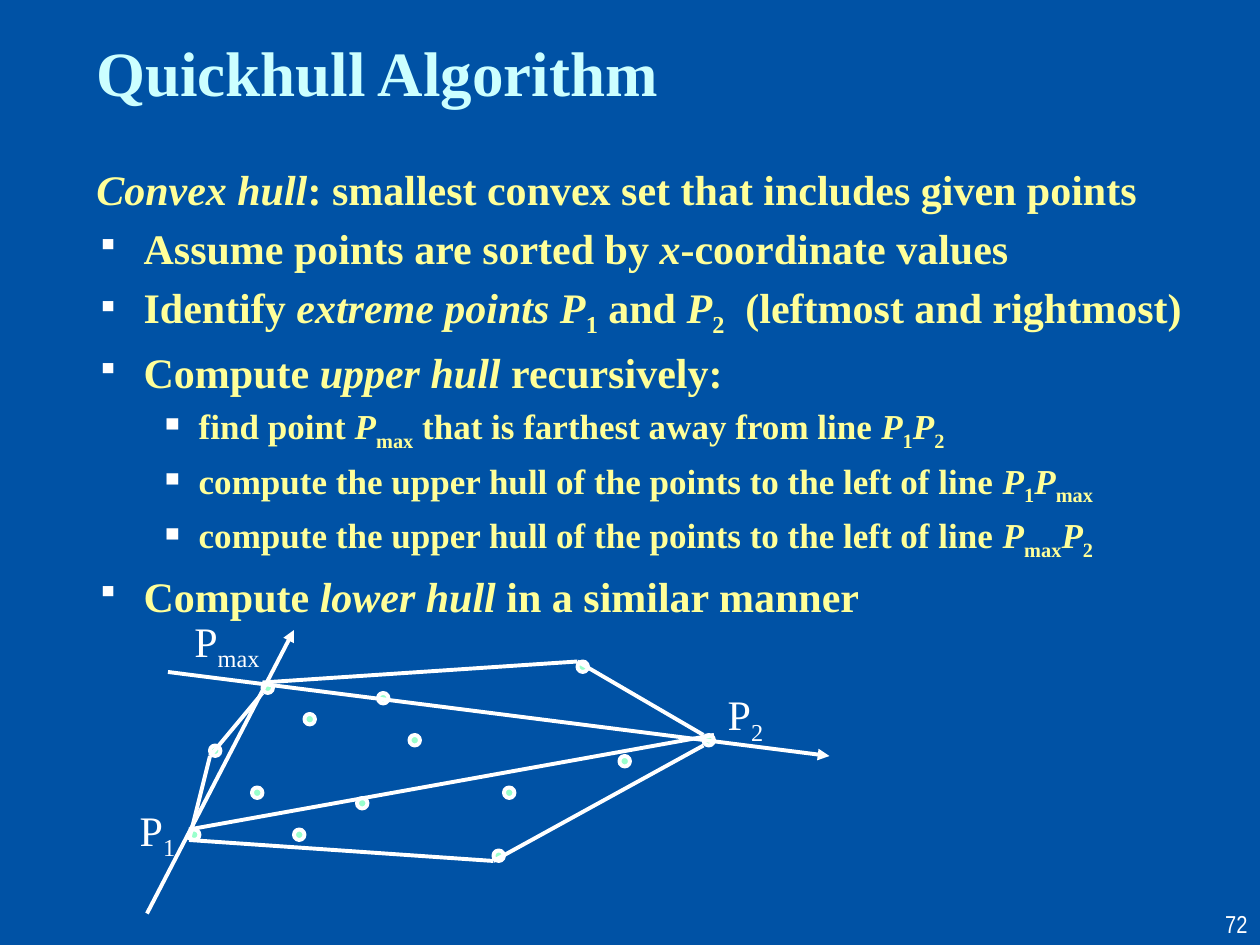
from lxml import etree
from pptx import Presentation
from pptx.dml.color import RGBColor
from pptx.enum.shapes import MSO_CONNECTOR, MSO_SHAPE
from pptx.enum.text import MSO_ANCHOR, MSO_AUTO_SIZE, PP_ALIGN
from pptx.oxml.ns import qn
from pptx.util import Emu, Pt

STRAIGHT = MSO_CONNECTOR.STRAIGHT
OVAL = MSO_SHAPE.OVAL
BOTTOM = MSO_ANCHOR.BOTTOM
GROW = MSO_AUTO_SIZE.SHAPE_TO_FIT_TEXT
CENTER, RIGHT = PP_ALIGN.CENTER, PP_ALIGN.RIGHT

EMU_PER_PX = 9525
SERIF, NARROW = "Times New Roman", "Arial Narrow"
WHITE, YELLOW, CYAN, MINT, BLUE = "FFFFFF", "FFFF99", "CCFFFF", "99FFCC", "0052A5"
LINE_WIDTH = Pt(2.25)
DOT = 8

P1 = [("P", "i"), ("1", "sub")]
P2 = [("P", "i"), ("2", "sub")]
P_MAX = [("P", "i"), ("max", "sub")]
LEFT_OF_LINE = ("compute the upper hull of the points to the left of line ", "")

OUTLINE = [
    ("intro", [("Convex hull", "i"),
               (": smallest convex set that includes given points", "")]),
    ("step", [("Assume points are sorted by ", ""), ("x", "i"),
              ("-coordinate values", "")]),
    ("step", [("Identify ", ""), ("extreme points ", "i"), *P1, (" and ", ""), *P2,
              ("  (leftmost and rightmost)", "")]),
    ("step", [("Compute ", ""), ("upper hull", "i"), (" recursively:", "")]),
    ("substep", [("find point ", ""), *P_MAX,
                 (" that is farthest away from line ", ""), *P1, *P2]),
    ("substep", [LEFT_OF_LINE, *P1, *P_MAX]),
    ("substep", [LEFT_OF_LINE, *P_MAX, *P2]),
    ("step", [("Compute ", ""), ("lower hull", "i"), (" in a similar manner", "")]),
]

POINTS = [(376, 648), (536, 560), (144, 632), (160, 568), (472, 576), (192, 600),
          (200, 520), (224, 632), (232, 544), (312, 560), (272, 608), (288, 528),
          (384, 600), (440, 504)]
EDGES = [((144, 640), (376, 656)), ((376, 656), (536, 568)),
         ((536, 560), (440, 504)), ((440, 504), (200, 520)),
         ((200, 528), (160, 576)), ((144, 640), (160, 576)),
         ((144, 632), (544, 560))]
ARROWS = [((224, 480), (112, 696)), ((632, 576), (128, 512))]
LABELS = [("1", 96, 608, 48), ("2", 544, 520, 48), ("max", 136, 464, 74)]


def px(length):
    return Emu(length * EMU_PER_PX)


def color(value):
    return RGBColor.from_string(value)


def add_text_frame(slide, left, top, width, height, wrap=True):
    frame = slide.shapes.add_textbox(px(left), px(top), px(width), px(height)).text_frame
    frame.word_wrap = wrap
    return frame


def style_paragraph(paragraph, size, face, hue, bold=False):
    font = paragraph.font
    font.size, font.name, font.bold = Pt(size), face, bold
    font.color.rgb = color(hue)


def add_runs(paragraph, pieces):
    for text, style in pieces:
        run = paragraph.add_run()
        run.text = text
        if style == "i":
            run.font.italic = True
        elif style == "sub":
            run._r.get_or_add_rPr().set("baseline", "-25000")


def set_indent(paragraph, margin, hanging):
    properties = paragraph._p.get_or_add_pPr()
    properties.set("marL", str(px(margin)))
    properties.set("indent", str(-px(hanging)))


def set_space_before(paragraph, percent):
    spacing = etree.SubElement(paragraph._p.get_or_add_pPr(), qn("a:spcBef"))
    etree.SubElement(spacing, qn("a:spcPct"), val=str(percent * 1000))


def set_bullet(paragraph, percent):
    properties = paragraph._p.get_or_add_pPr()
    hue = etree.SubElement(properties, qn("a:buClr"))
    etree.SubElement(hue, qn("a:srgbClr"), val=WHITE)
    etree.SubElement(properties, qn("a:buSzPct"), val=str(percent * 1000))
    etree.SubElement(properties, qn("a:buChar"), char="▪")


def add_title(slide):
    frame = add_text_frame(slide, 64, 16, 797, 72)
    frame.vertical_anchor = BOTTOM
    heading = frame.paragraphs[0]
    add_runs(heading, [("Quickhull Algorithm", "")])
    style_paragraph(heading, 36, SERIF, CYAN, bold=True)


def add_outline(slide):
    frame = add_text_frame(slide, 64, 120, 872, 523)
    for index, (role, pieces) in enumerate(OUTLINE):
        paragraph = frame.add_paragraph() if index else frame.paragraphs[0]
        substep = role == "substep"
        paragraph.level = int(substep)
        set_indent(paragraph, *((78, 30) if substep else (36, 36)))
        if index:
            set_space_before(paragraph, 20)
        if role != "intro":
            set_bullet(paragraph, 100 if substep else 75)
        add_runs(paragraph, pieces)
        style_paragraph(paragraph, 20 if substep else 24, SERIF, YELLOW, bold=True)


def add_point(slide, left, top):
    point = slide.shapes.add_shape(OVAL, px(left), px(top), px(DOT), px(DOT))
    point.shadow.inherit = False
    point.fill.solid()
    point.fill.fore_color.rgb = color(MINT)
    point.line.color.rgb = color(WHITE)
    point.line.width = LINE_WIDTH


def add_line(slide, start, end, arrow=False):
    line = slide.shapes.add_connector(STRAIGHT, *map(px, start + end))
    line.line.color.rgb = color(WHITE)
    line.line.width = LINE_WIDTH
    if arrow:
        etree.SubElement(line.line._get_or_add_ln(), qn("a:headEnd"), type="triangle")
    etree.SubElement(line._element.spPr, qn("a:effectLst"))


def add_label(slide, subscript, left, top, width):
    frame = add_text_frame(slide, left, top, width, 48, wrap=False)
    frame.auto_size = GROW
    label = frame.paragraphs[0]
    label.alignment = CENTER
    add_runs(label, [("P", ""), (subscript, "sub")])
    style_paragraph(label, 24, SERIF, WHITE)


def add_page_number(slide):
    number = add_text_frame(slide, 760, 688, 200, 32).paragraphs[0]
    number.alignment = RIGHT
    add_runs(number, [("72", "")])
    style_paragraph(number, 14, NARROW, WHITE)


def main():
    deck = Presentation()
    deck.slide_width, deck.slide_height = px(960), px(720)
    slide = deck.slides.add_slide(deck.slide_layouts[6])
    slide.background.fill.solid()
    slide.background.fill.fore_color.rgb = color(BLUE)
    add_page_number(slide)
    add_title(slide)
    add_outline(slide)
    for point in POINTS:
        add_point(slide, *point)
    for edge in EDGES:
        add_line(slide, *edge)
    for label in LABELS:
        add_label(slide, *label)
    for arrow in ARROWS:
        add_line(slide, *arrow, arrow=True)
    deck.save("out.pptx")


if __name__ == "__main__":
    main()
